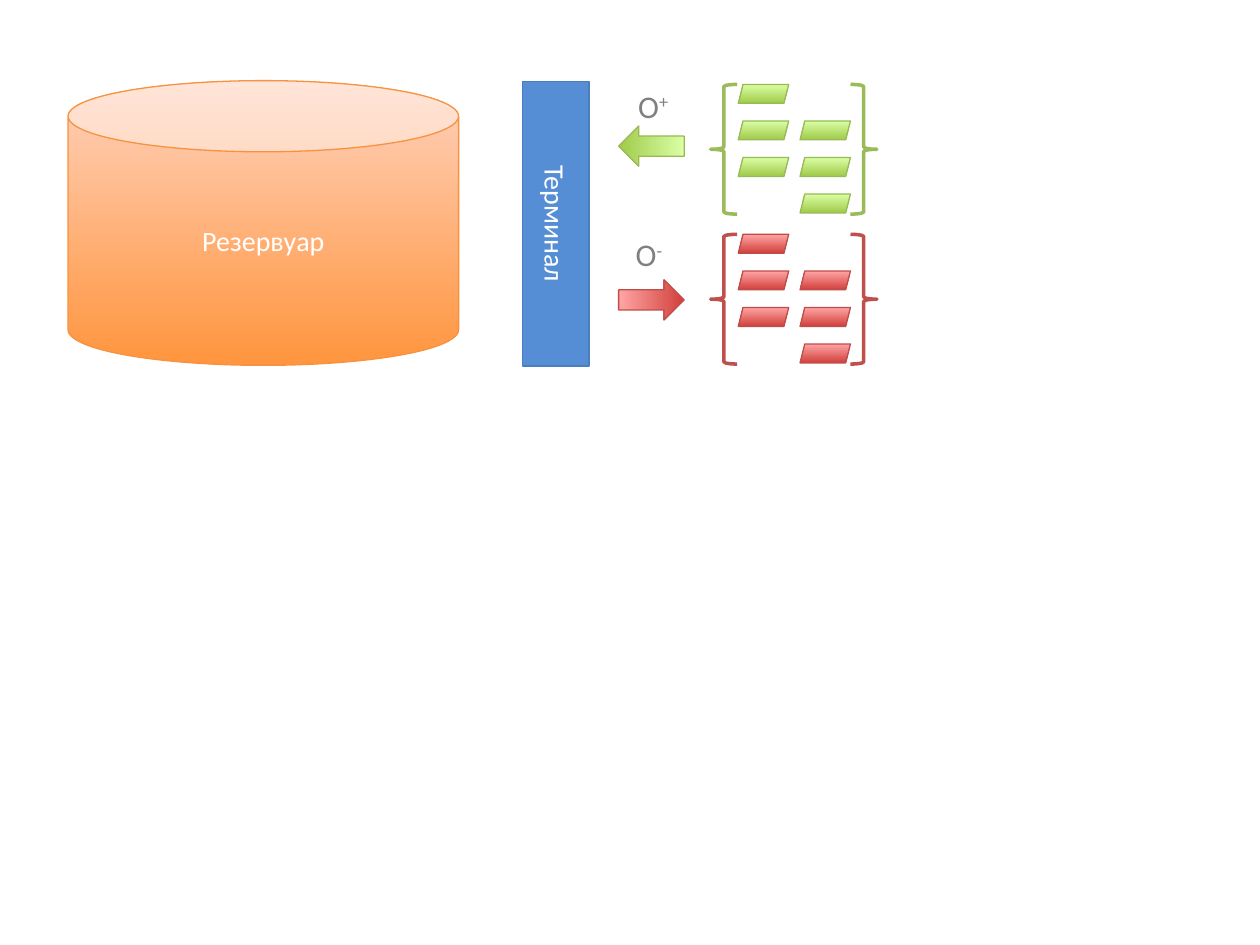
"""Build the slide of a reservoir, a terminal and two flows of charged units."""
from pptx import Presentation
from pptx.dml.color import RGBColor
from pptx.enum.shapes import MSO_SHAPE
from pptx.enum.text import MSO_ANCHOR, MSO_AUTO_SIZE, PP_ALIGN
from pptx.util import Inches, Pt

CAN = MSO_SHAPE.CAN
RECTANGLE = MSO_SHAPE.RECTANGLE
PARALLELOGRAM = MSO_SHAPE.PARALLELOGRAM
LEFT_BRACE = MSO_SHAPE.LEFT_BRACE
DOWN_ARROW = MSO_SHAPE.DOWN_ARROW
MIDDLE = MSO_ANCHOR.MIDDLE
GROW = MSO_AUTO_SIZE.SHAPE_TO_FIT_TEXT
CENTER = PP_ALIGN.CENTER

WHITE = RGBColor(0xFF, 0xFF, 0xFF)
GRAY = RGBColor(0x80, 0x80, 0x80)
BLUE = RGBColor(0x55, 0x8E, 0xD5)
BLUE_LINE = RGBColor(0x4B, 0x7E, 0xBC)
ORANGE_LINE = RGBColor(0xF6, 0x92, 0x40)
ORANGE_FILL = (RGBColor(0xFF, 0x95, 0x3E), RGBColor(0xFF, 0xD2, 0xBD))
GREEN_LINE = RGBColor(0x98, 0xB9, 0x55)
GREEN_BRACE = RGBColor(0x9B, 0xBB, 0x59)
GREEN_FILL = (RGBColor(0xA0, 0xCA, 0x4A), RGBColor(0xDA, 0xFF, 0xA5))
RED_LINE = RGBColor(0xBF, 0x4C, 0x48)
RED_BRACE = RGBColor(0xC0, 0x50, 0x4D)
RED_FILL = (RGBColor(0xD1, 0x40, 0x3C), RGBColor(0xFF, 0xA6, 0xA5))

FONT = "Calibri"
ROW_STEP = 0.29
UNIT_COLUMNS = ((5.86, range(0, 3)), (6.35, range(1, 4)))


def add_shape(slide, kind, box, line, fill=None, line_width=0.75, rotation=0):
    """Add a preset shape; a pair of colours as fill makes an upward gradient."""
    shape = slide.shapes.add_shape(kind, *map(Inches, box))
    shape.shadow.inherit = False
    shape.rotation = rotation
    shape.line.color.rgb = line
    shape.line.width = Pt(line_width)
    if fill is None:
        shape.fill.background()
    elif isinstance(fill, RGBColor):
        shape.fill.solid()
        shape.fill.fore_color.rgb = fill
    else:
        shape.fill.gradient()
        shape.fill.gradient_angle = 90
        for stop, color in zip(shape.fill.gradient_stops, fill):
            stop.color.rgb = color
    return shape


def add_run(paragraph, text, *, size, color, raised=False):
    """Add a formatted run, as superscript if raised."""
    run = paragraph.add_run()
    run.text = text
    run.font.name = FONT
    run.font.size = Pt(size)
    run.font.color.rgb = color
    if raised:
        run.font._element.set("baseline", "30000")


def add_caption(shape, text):
    """Write a centred white caption in a shape."""
    shape.text_frame.vertical_anchor = MIDDLE
    paragraph = shape.text_frame.paragraphs[0]
    paragraph.alignment = CENTER
    add_run(paragraph, text, size=16, color=WHITE)


def add_charge_label(slide, box, sign):
    """Add the flow's label with its charge sign raised."""
    text_frame = slide.shapes.add_textbox(*map(Inches, box)).text_frame
    text_frame.word_wrap = False
    text_frame.auto_size = GROW
    paragraph = text_frame.paragraphs[0]
    add_run(paragraph, " O", size=18, color=GRAY)
    add_run(paragraph, sign, size=18, color=GRAY, raised=True)


def add_units(slide, top, fill, line, brace_color):
    """Add two staggered columns of units between a pair of braces."""
    for left, rows in UNIT_COLUMNS:
        for row in rows:
            box = (left, top + row * ROW_STEP, 0.4, 0.15)
            add_shape(slide, PARALLELOGRAM, box, line, fill)
    for left, flipped in ((5.64, False), (6.75, True)):
        brace = add_shape(slide, LEFT_BRACE, (left, top, 0.21, 1.03),
                          brace_color, line_width=2)
        if flipped:
            brace._element.spPr.xfrm.set("flipH", "1")


def main():
    """Build and save the slide."""
    presentation = Presentation()
    presentation.slide_width = Inches(10)
    presentation.slide_height = Inches(7.5)
    slide = presentation.slides.add_slide(presentation.slide_layouts[6])

    reservoir = add_shape(slide, CAN, (0.54, 0.64, 3.1, 2.26), ORANGE_LINE, ORANGE_FILL)
    add_caption(reservoir, "Резервуар")
    terminal = add_shape(slide, RECTANGLE, (3.28, 1.51, 2.26, 0.53), BLUE_LINE, BLUE,
                         rotation=90)
    add_caption(terminal, "Терминал")

    add_units(slide, 0.67, GREEN_FILL, GREEN_LINE, GREEN_BRACE)
    add_units(slide, 1.86, RED_FILL, RED_LINE, RED_BRACE)
    add_shape(slide, DOWN_ARROW, (5.01, 0.9, 0.32, 0.52), GREEN_LINE, GREEN_FILL,
              rotation=90)
    add_shape(slide, DOWN_ARROW, (5.01, 2.12, 0.32, 0.52), RED_LINE, RED_FILL,
              rotation=270)
    add_charge_label(slide, (4.91, 0.64, 0.51, 0.4), "+")
    add_charge_label(slide, (4.89, 1.82, 0.48, 0.4), "-")

    presentation.save("out.pptx")


if __name__ == "__main__":
    main()
